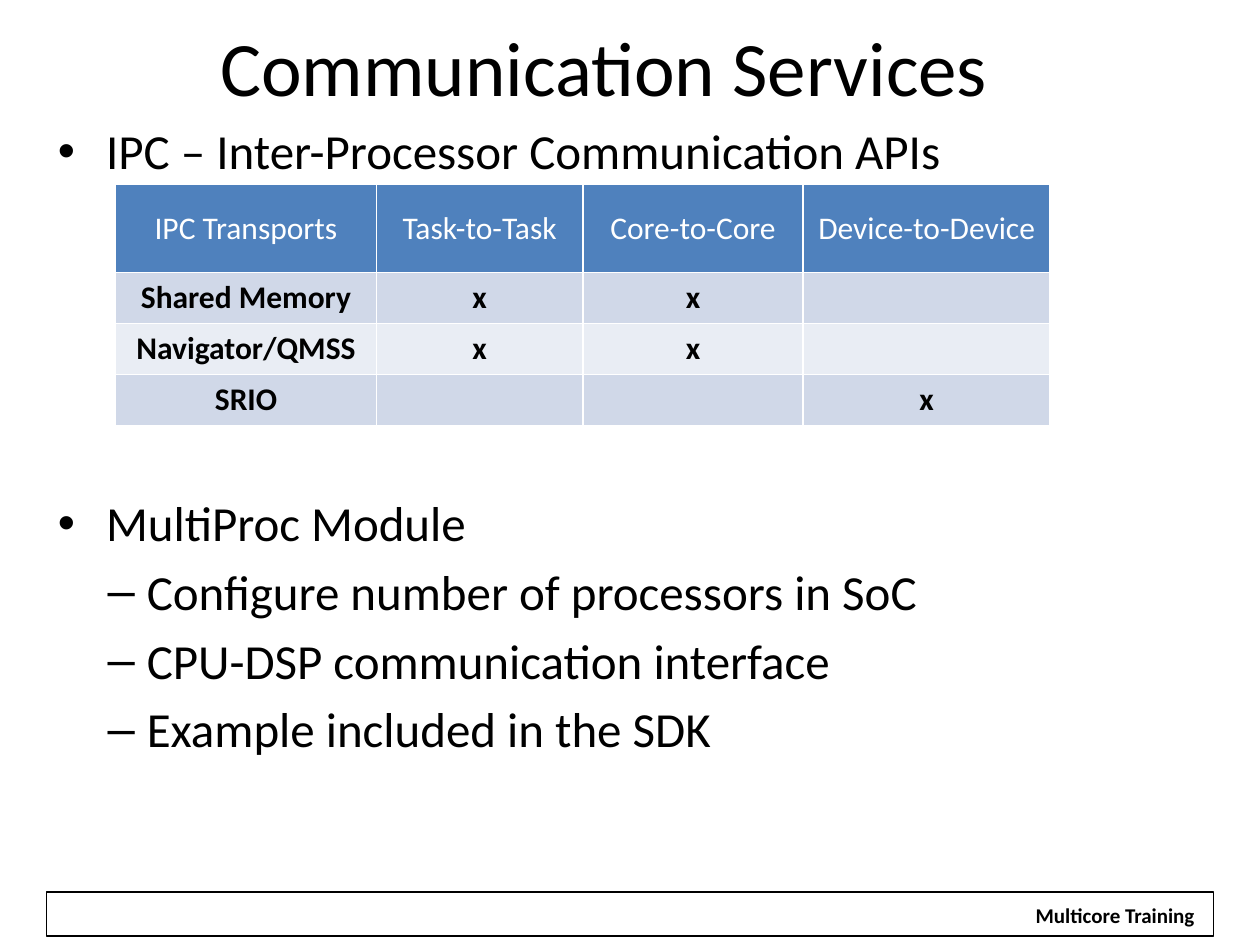
from pptx import Presentation
from pptx.dml.color import RGBColor
from pptx.enum.shapes import MSO_SHAPE
from pptx.enum.text import MSO_ANCHOR as Anchor, PP_ALIGN as Align
from pptx.oxml.ns import qn
from pptx.util import Cm, Pt
from lxml.etree import SubElement

FONT = "Calibri"
BLACK, WHITE, HEADER_BLUE = "000000", "FFFFFF", "4F81BD"
BAND_FILLS = ["D0D8E8", "E9EDF4"]
COLUMN_WIDTHS = [5.26, 4.16, 4.44, 4.98]
HEADER_HEIGHT, ROW_HEIGHT = 1.78, 1.03
TRANSPORTS = [
    ["IPC Transports", "Task-to-Task", "Core-to-Core", "Device-to-Device"],
    ["Shared Memory", "x", "x", ""],
    ["Navigator/QMSS", "x", "x", ""],
    ["SRIO", "", "", "x"],
]
TOPICS = [
    ("IPC – Inter-Processor Communication APIs", 0, 0),
    ("MultiProc Module", 0, 179),
    ("Configure number of processors in SoC", 1, 5.6),
    ("CPU-DSP communication interface", 1, 5.6),
    ("Example included in the SDK", 1, 5.6),
]
BULLETS = [("•", 0.97, -0.97), ("–", 1.79, -0.79)]


def color(hex_code):
    """Turn a hex string into a colour."""
    return RGBColor.from_string(hex_code)


def add_run(paragraph, text, size, hex_code=BLACK, bold=False):
    """Append one formatted run to a paragraph."""
    run = paragraph.add_run()
    run.text = text
    font = run.font
    font.name, font.size, font.bold = FONT, Pt(size), bold
    font.color.rgb = color(hex_code)


def set_bullet(paragraph, level):
    """Give a paragraph the indent and bullet of its level."""
    symbol, margin, indent = BULLETS[level]
    paragraph.level = level
    properties = paragraph._p.get_or_add_pPr()
    properties.set("marL", str(Cm(margin)))
    properties.set("indent", str(Cm(indent)))
    SubElement(properties, qn("a:buFont"), typeface="Arial")
    SubElement(properties, qn("a:buChar"), char=symbol)


def set_title(slide, text):
    """Place and fill the title placeholder."""
    title = slide.shapes.title
    title.left, title.top, title.width, title.height = Cm(0.43), Cm(0.2), Cm(23.5), Cm(2.26)
    title.text_frame.vertical_anchor = Anchor.MIDDLE
    paragraph = title.text_frame.paragraphs[0]
    paragraph.alignment = Align.CENTER
    add_run(paragraph, text, 44)


def add_topics(slide):
    """Add the bulleted topics, leaving room for the table."""
    frame = slide.shapes.add_textbox(Cm(0.92), Cm(2.31), Cm(23.52), Cm(15.24)).text_frame
    frame.word_wrap = True
    for index, (text, level, space) in enumerate(TOPICS):
        paragraph = frame.add_paragraph() if index else frame.paragraphs[0]
        set_bullet(paragraph, level)
        paragraph.space_before = Pt(space)
        add_run(paragraph, text, 28)


def set_borders(cell):
    """Draw white borders around a cell."""
    for side in ("a:lnL", "a:lnR", "a:lnT", "a:lnB"):
        line = SubElement(cell._tc.get_or_add_tcPr(), qn(side), w=str(Pt(1)))
        SubElement(SubElement(line, qn("a:solidFill")), qn("a:srgbClr"), val=WHITE)


def add_transport_table(slide):
    """Add the table of IPC transports."""
    height = HEADER_HEIGHT + ROW_HEIGHT * (len(TRANSPORTS) - 1)
    table = slide.shapes.add_table(
        len(TRANSPORTS), len(COLUMN_WIDTHS),
        Cm(2.33), Cm(3.71), Cm(sum(COLUMN_WIDTHS)), Cm(height)).table
    for column, width in zip(table.columns, COLUMN_WIDTHS):
        column.width = Cm(width)
    for index, texts in enumerate(TRANSPORTS):
        header = index == 0
        table.rows[index].height = Cm(HEADER_HEIGHT if header else ROW_HEIGHT)
        for cell, text in zip(table.rows[index].cells, texts):
            set_borders(cell)
            cell.fill.solid()
            cell.fill.fore_color.rgb = color(HEADER_BLUE if header else BAND_FILLS[(index - 1) % 2])
            cell.vertical_anchor = Anchor.MIDDLE
            paragraph = cell.text_frame.paragraphs[0]
            paragraph.alignment = Align.CENTER
            if text:
                add_run(paragraph, text, 18, WHITE if header else BLACK, not header)


def add_rectangle(slide, left, top, width, height):
    """Add a plain rectangle without shadow."""
    rectangle = slide.shapes.add_shape(
        MSO_SHAPE.RECTANGLE, Cm(left), Cm(top), Cm(width), Cm(height))
    rectangle.shadow.inherit = False
    return rectangle


def add_footer(slide, text):
    """Add the footer frame and its label."""
    frame = add_rectangle(slide, 0.94, 17.98, 23.52, 0.89)
    frame.fill.background()
    frame.line.color.rgb = color(BLACK)
    frame.line.width = Pt(0.75)
    label = add_rectangle(slide, 20.6, 18.06, 3.76, 0.76)
    label.fill.solid()
    label.fill.fore_color.rgb = color(WHITE)
    label.line.fill.background()
    label.text_frame.word_wrap = False
    paragraph = label.text_frame.paragraphs[0]
    paragraph.alignment = Align.CENTER
    add_run(paragraph, text, 12, bold=True)


def main():
    """Build and save the slide."""
    deck = Presentation()
    deck.slide_width, deck.slide_height = Cm(25.4), Cm(19.05)
    slide = deck.slides.add_slide(deck.slide_layouts[5])
    add_footer(slide, "Multicore Training")
    set_title(slide, "Communication Services")
    add_topics(slide)
    add_transport_table(slide)
    deck.save("out.pptx")


if __name__ == "__main__":
    main()
